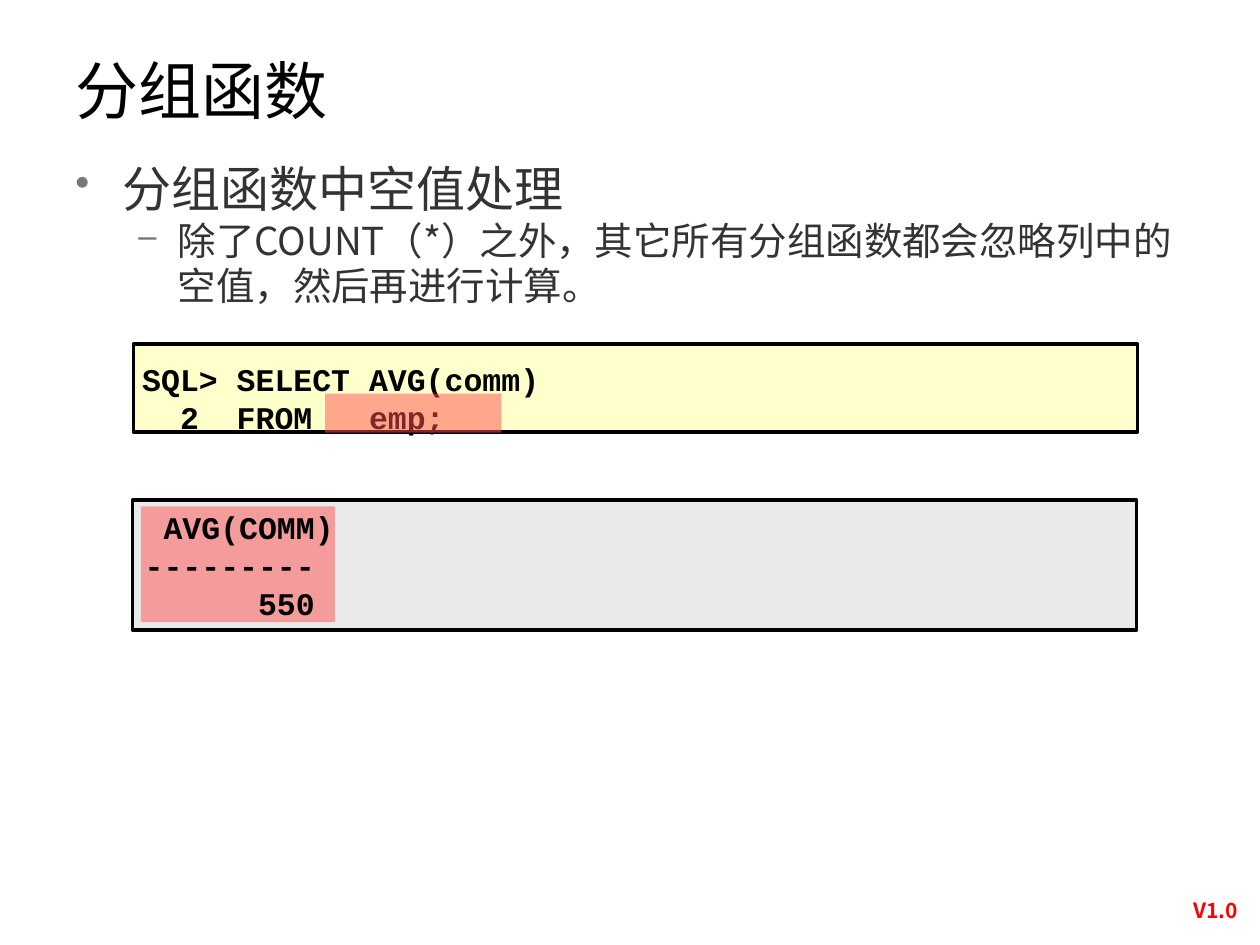
from dataclasses import dataclass

from lxml.etree import SubElement
from pptx import Presentation
from pptx.dml.color import RGBColor
from pptx.enum.shapes import MSO_SHAPE
from pptx.enum.text import MSO_ANCHOR as Anchor, MSO_AUTO_SIZE as AutoSize, PP_ALIGN as Align
from pptx.oxml.ns import qn
from pptx.util import Pt


@dataclass(frozen=True)
class Theme:
    sans: str = "Noto Sans CJK SC"
    mono: str = "Courier New"
    black: str = "000000"
    body: str = "333333"
    bullet: str = "777777"
    version: str = "FF0000"
    code_fill: str = "FFFFCC"
    result_fill: str = "EAEAEA"
    highlight: str = "FF5050"
    title_size: float = 36
    point_size: float = 28
    detail_size: float = 22
    code_size: float = 18
    version_size: float = 12


theme = Theme()


def format_paragraph(paragraph, font_name, size, color, spacing, bold=False):
    """Set exact line spacing, and one font for Latin and East Asian text."""
    paragraph.line_spacing = Pt(spacing)
    for run in paragraph.runs:
        run.font.size = Pt(size)
        run.font.bold = bold
        run.font.color.rgb = RGBColor.from_string(color)
        run.font.name = font_name
        SubElement(run.font._element, qn("a:ea"), typeface=font_name)


def add_rectangle(left, top, width, height, color):
    shape = slide.shapes.add_shape(
        MSO_SHAPE.RECTANGLE, Pt(left), Pt(top), Pt(width), Pt(height))
    shape.shadow.inherit = False
    shape.fill.solid()
    shape.fill.fore_color.rgb = RGBColor.from_string(color)
    shape.line.fill.background()
    return shape


presentation = Presentation()
presentation.slide_width, presentation.slide_height = Pt(720), Pt(540)
slide = presentation.slides.add_slide(presentation.slide_layouts[5])

# Title
title = slide.shapes.title
title.left, title.top, title.width, title.height = Pt(36), Pt(21.6), Pt(574), Pt(55.4)
title.text_frame.text = "分组函数"
title.text_frame.auto_size = AutoSize.NONE
title.text_frame.vertical_anchor = Anchor.TOP
title.text_frame.paragraphs[0].alignment = Align.LEFT
format_paragraph(title.text_frame.paragraphs[0], theme.sans, theme.title_size,
                 theme.black, 47.5)

# Bulleted text
body = slide.shapes.add_textbox(Pt(36), Pt(84.2), Pt(653), Pt(297.4))
body.text_frame.word_wrap = True
body.text_frame.text = (
    "分组函数中空值处理\n"
    "除了COUNT（*）之外，其它所有分组函数都会忽略列中的空值，然后再进行计算。")
levels = [
    ("•", 27, 27, theme.point_size, 36.5),
    ("–", 58.5, 22.5, theme.detail_size, 26),
]
for level, paragraph in enumerate(body.text_frame.paragraphs):
    mark, indent, hanging, size, spacing = levels[level]
    paragraph.level = level
    properties = paragraph._p.get_or_add_pPr()
    properties.set("marL", str(Pt(indent)))
    properties.set("indent", str(-Pt(hanging)))
    bullet_color = SubElement(properties, qn("a:buClr"))
    SubElement(bullet_color, qn("a:srgbClr"), val=theme.bullet)
    SubElement(properties, qn("a:buSzPct"), val="85000")
    SubElement(properties, qn("a:buChar"), char=mark)
    format_paragraph(paragraph, theme.sans, size, theme.body, spacing)

# Query and result: panel, highlight, and text above or below the highlight
listings = [
    ("SQL> SELECT AVG(comm)\n  2  FROM   emp;",
     (76.3, 196.6, 573.8, 50.4), theme.code_fill,
     (74.2, 200.9, 576, 52.6), Anchor.MIDDLE,
     (185.8, 224.9, 100.8, 22.3), True),
    (" AVG(COMM)\n---------\n      550",
     (75.8, 285.8, 573.8, 74.2), theme.result_fill,
     (75.6, 286.6, 571.7, 72), Anchor.TOP,
     (80.6, 289.4, 110.9, 66.2), False),
]
for text, panel_box, fill, text_box, anchor, highlight_box, highlight_on_top in listings:
    panel = add_rectangle(*panel_box, fill)
    panel.line.color.rgb = RGBColor.from_string(theme.black)
    panel.line.width = Pt(2)

    highlight = add_rectangle(*highlight_box, theme.highlight)
    highlight_color = highlight._element.spPr.find(".//" + qn("a:srgbClr"))
    SubElement(highlight_color, qn("a:alpha"), val="50000")

    listing = slide.shapes.add_textbox(*(Pt(value) for value in text_box))
    listing.text_frame.word_wrap = True
    listing.text_frame.vertical_anchor = anchor
    listing.text_frame.text = text
    for paragraph in listing.text_frame.paragraphs:
        format_paragraph(paragraph, theme.mono, theme.code_size, theme.black, 21.7, bold=True)
    if highlight_on_top:
        listing._element.addnext(highlight._element)

# Version label
version = slide.shapes.add_textbox(Pt(669), Pt(509), Pt(51), Pt(21.6))
version.text_frame.text = "V1.0"
version.text_frame.paragraphs[0].alignment = Align.CENTER
format_paragraph(version.text_frame.paragraphs[0], theme.sans, theme.version_size,
                 theme.version, 14.8, bold=True)

presentation.save("out.pptx")
